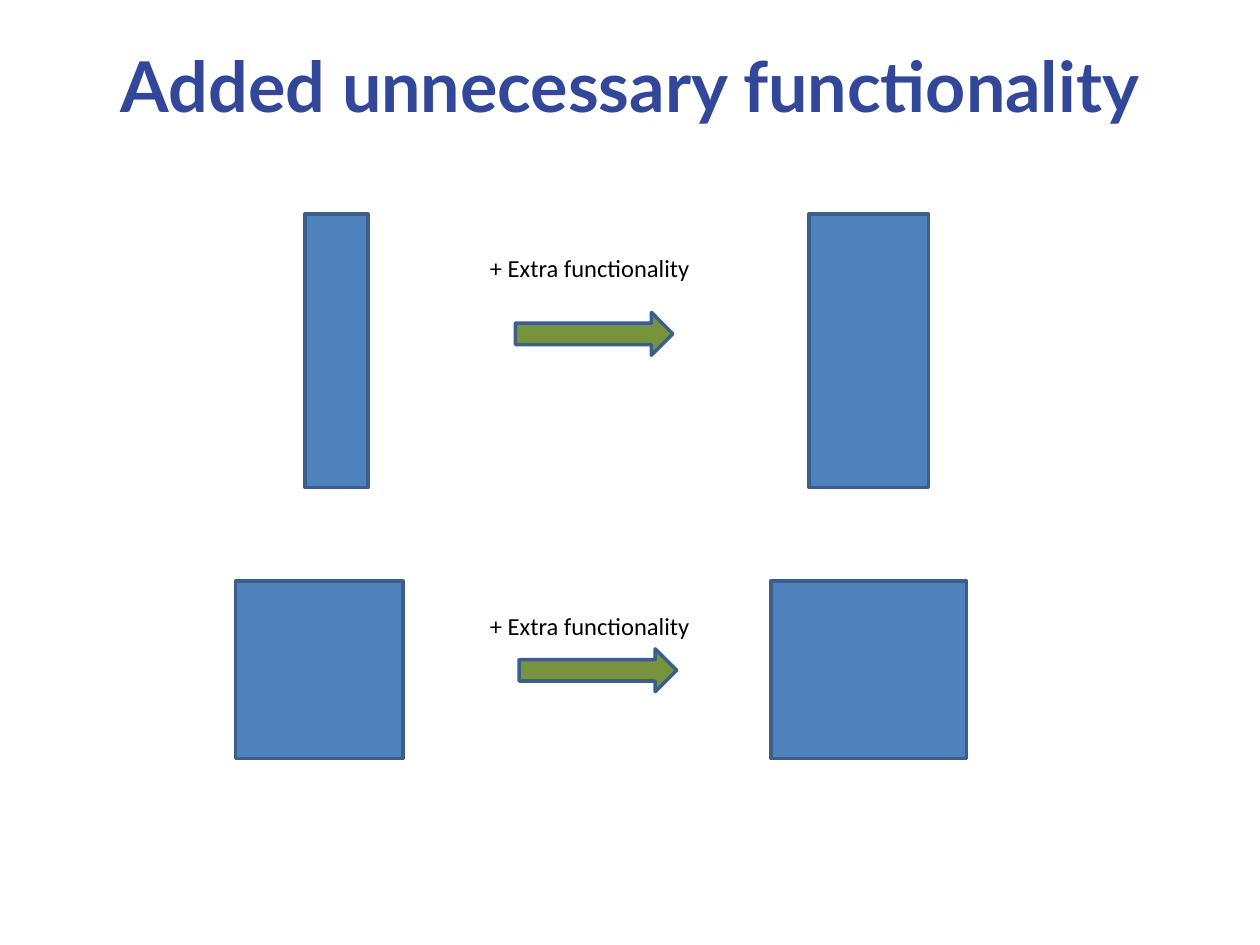
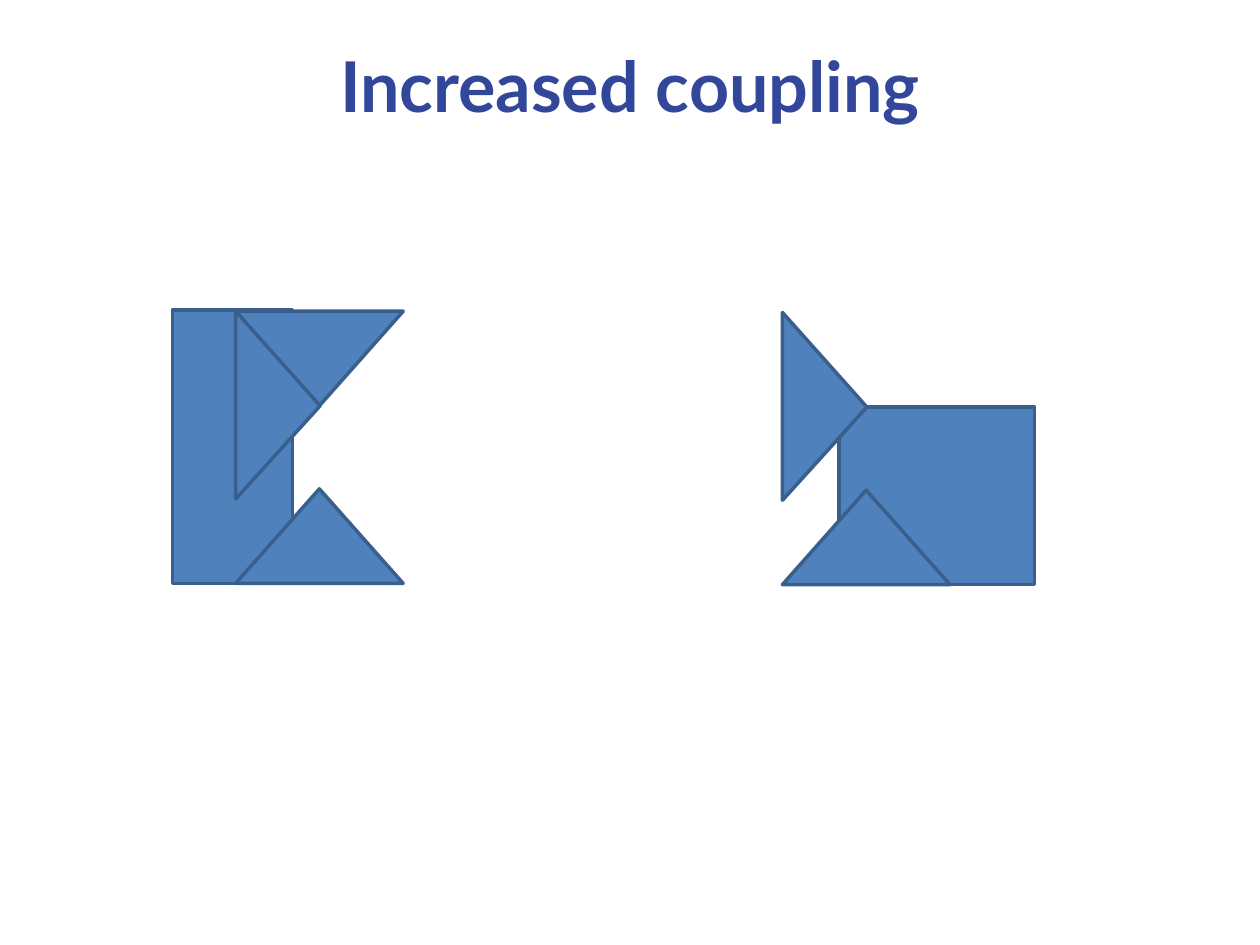
from pptx import Presentation
from pptx.dml.color import RGBColor
from pptx.enum.shapes import MSO_SHAPE as Kind
from pptx.enum.text import MSO_ANCHOR as Anchor, MSO_AUTO_SIZE as Fit, PP_ALIGN as Align
from pptx.util import Inches, Pt

NAVY = RGBColor(0x32, 0x46, 0x9A)
BLUE = RGBColor(0x4F, 0x81, 0xBD)
EDGE = RGBColor(0x3A, 0x5F, 0x8C)
GREEN = RGBColor(0x77, 0x93, 0x3C)
BLACK = RGBColor(0, 0, 0)
WHITE = RGBColor(0xFF, 0xFF, 0xFF)

SLIM = (0.5, 2.17)
TALL = (0.95, 2.17)
BOX = (1.33, 1.41)
WIDE = (1.55, 1.41)
ARROW = (1.25, 0.34)
LABEL = (1.83, 0.34)
WEDGE = (1.33, 0.75)
SIDE = (1.49, 0.67)


def place(shape, spot, size):
    shape.left, shape.top = map(Inches, spot)
    shape.width, shape.height = map(Inches, size)


def write(frame, text, font="Calibri", size=14, color=BLACK, bold=False, align=Align.LEFT):
    frame.word_wrap = True
    para = frame.paragraphs[0]
    para.alignment = align
    run = para.add_run()
    run.text = text
    run.font.name = font
    run.font.size = Pt(size)
    run.font.bold = bold
    run.font.color.rgb = color


def add_slide(deck, title):
    slide = deck.slides.add_slide(deck.slide_layouts[5])
    slide.background.fill.solid()
    slide.background.fill.fore_color.rgb = WHITE
    head = slide.shapes.title
    place(head, (0.5, 0.17), (9, 1))
    head.text_frame.auto_size = Fit.NONE
    head.text_frame.vertical_anchor = Anchor.MIDDLE
    write(head.text_frame, title, font="Lato", size=40, color=NAVY, bold=True, align=Align.CENTER)
    return slide


def add_block(slide, spot, size, kind=Kind.RECTANGLE, fill=BLUE, turn=0):
    shape = slide.shapes.add_shape(kind, *map(Inches, spot + size))
    shape.shadow.inherit = False
    shape.fill.solid()
    shape.fill.fore_color.rgb = fill
    shape.line.color.rgb = EDGE
    shape.line.width = Pt(2)
    shape.rotation = turn
    return shape


def add_label(slide, spot, text):
    box = slide.shapes.add_textbox(*map(Inches, spot + LABEL))
    write(box.text_frame, text)
    box.text_frame.auto_size = Fit.SHAPE_TO_FIT_TEXT


def add_growth(slide, top, small, large, label, arrow):
    for left, size in (small, large):
        add_block(slide, (left, top), size)
    add_label(slide, (3.79, label), "+ Extra functionality")
    add_block(slide, arrow, ARROW, Kind.RIGHT_ARROW, GREEN)


def add_joint(slide, left, top):
    add_block(slide, (left, top + 1.41), WEDGE, Kind.ISOSCELES_TRIANGLE)
    side = add_block(slide, (left - 0.41, top + 0.41), SIDE, Kind.ISOSCELES_TRIANGLE, turn=90)
    side.adjustments[0] = 0.504


def extra_slide(deck):
    slide = add_slide(deck, "Added unnecessary functionality")
    add_growth(slide, 1.7, (2.42, SLIM), (6.42, TALL), 1.96, (4.09, 2.48))
    add_growth(slide, 4.61, (1.87, BOX), (6.12, WIDE), 4.8, (4.12, 5.15))


def coupling_slide(deck):
    slide = add_slide(deck, "Increased coupling")
    add_block(slide, (1.37, 2.46), TALL)
    add_block(slide, (1.87, 2.47), WEDGE, Kind.ISOSCELES_TRIANGLE, turn=180)
    add_joint(slide, 1.87, 2.47)
    add_block(slide, (6.66, 3.23), WIDE)
    add_joint(slide, 6.21, 2.48)


def main():
    deck = Presentation()
    deck.slide_width, deck.slide_height = Inches(10), Inches(7.5)
    extra_slide(deck)
    coupling_slide(deck)
    deck.save("out.pptx")


main()
